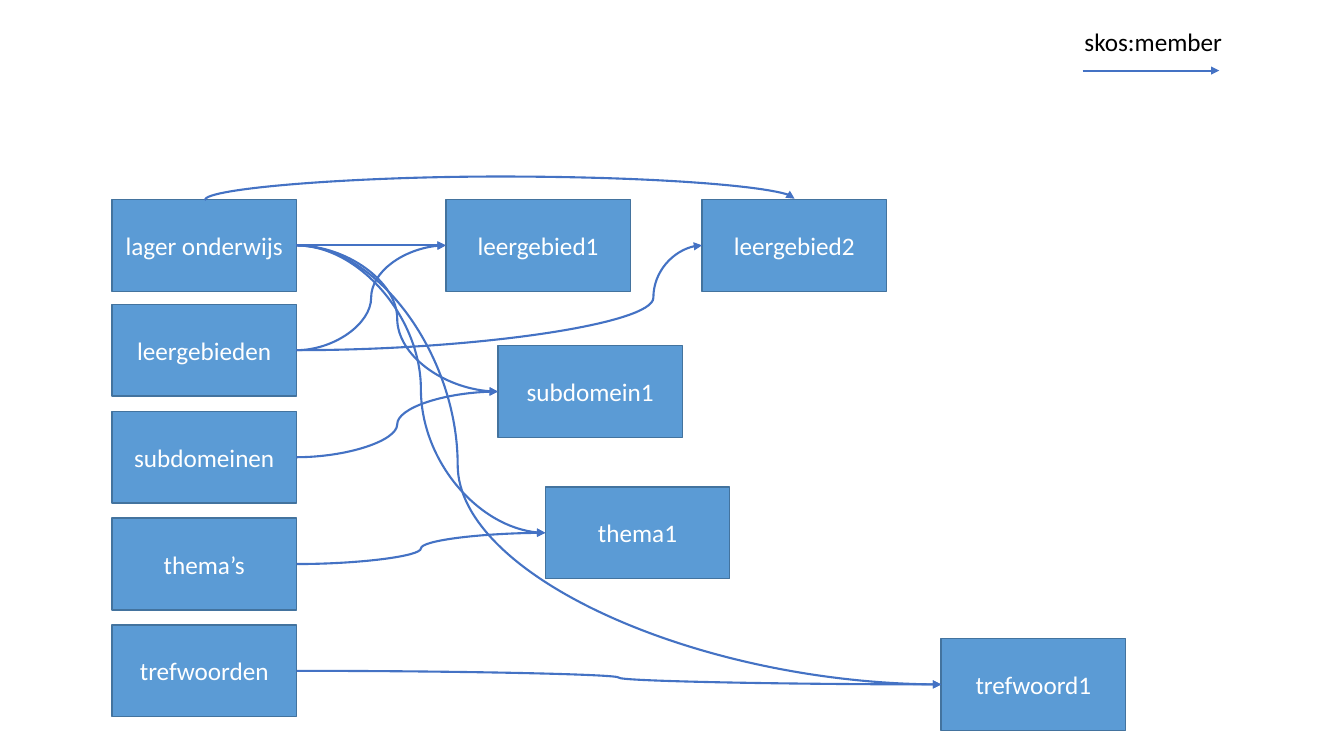
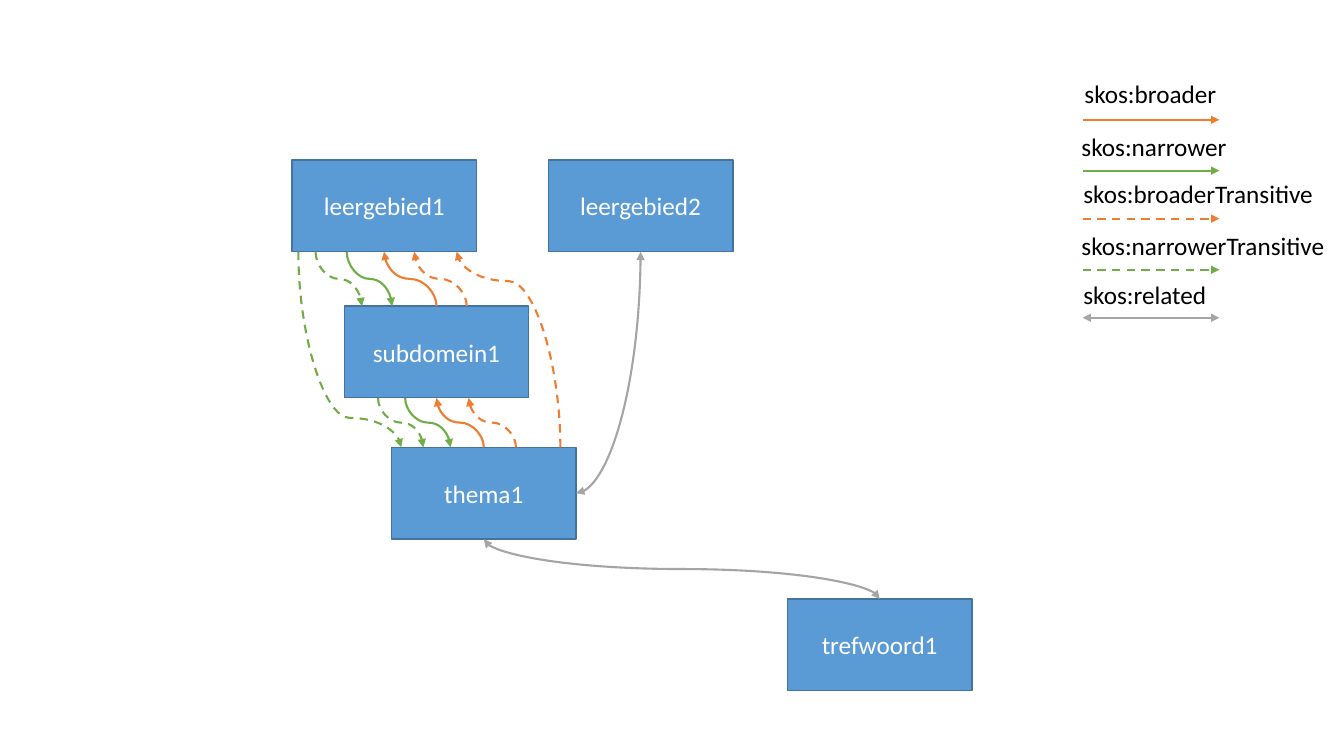
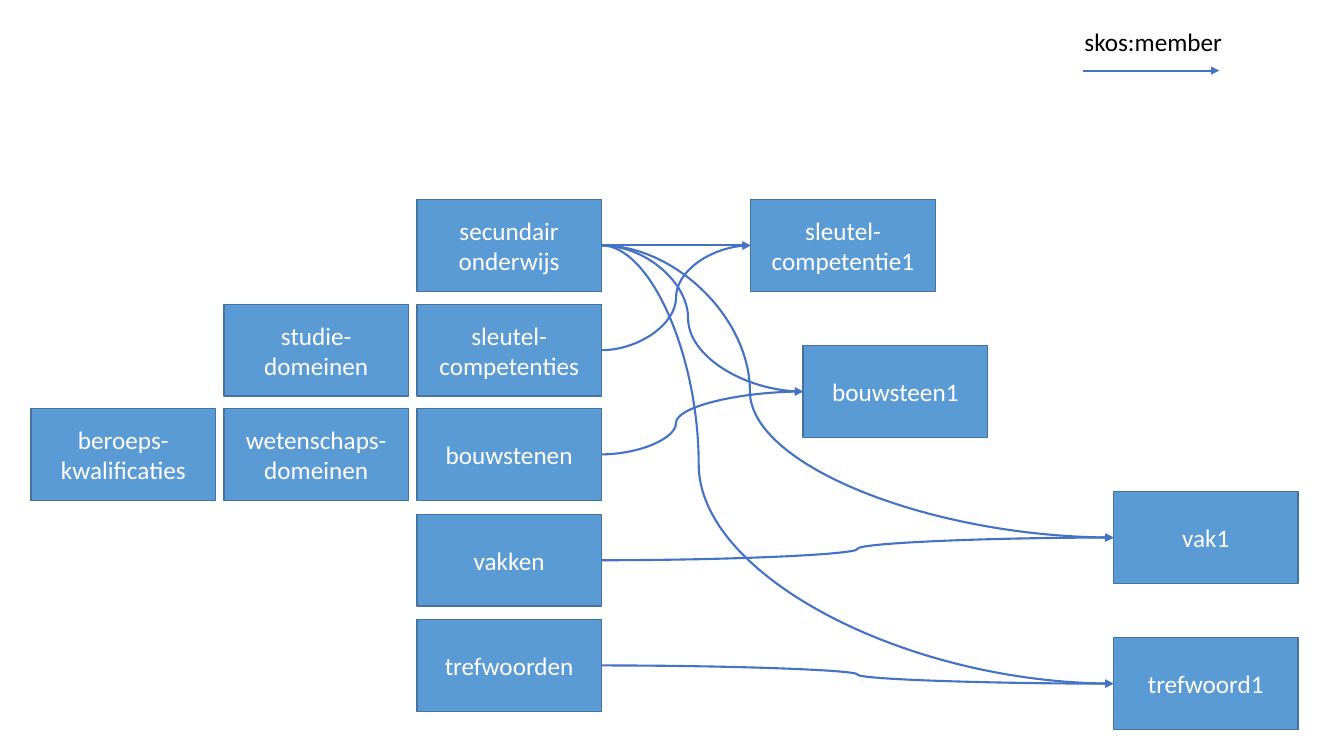
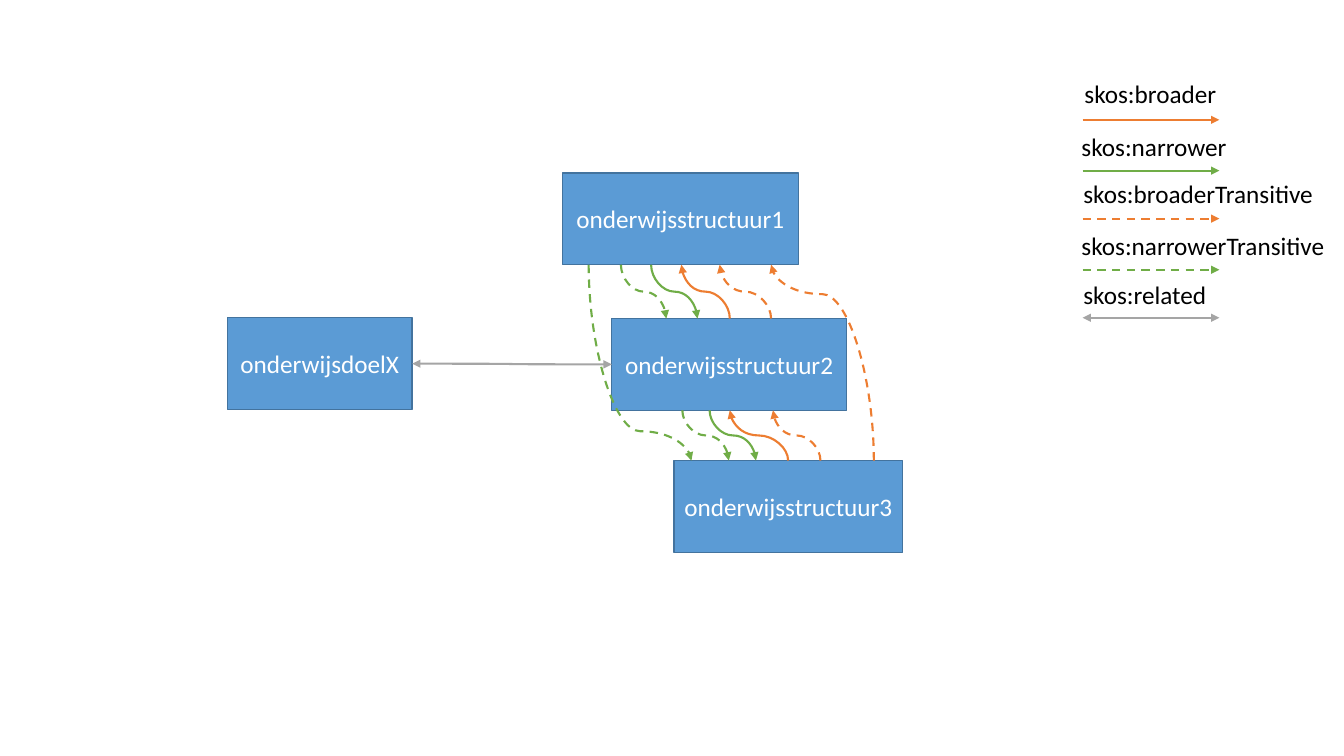
"""Build four diagrams of SKOS relations between education concepts."""
import pptx
import pptx.util
import pptx.dml.color
import pptx.enum.dml
import pptx.enum.shapes
import pptx.enum.text
import pptx.oxml.ns
import lxml.etree

Pt = pptx.util.Pt
qn = pptx.oxml.ns.qn
rgb = pptx.dml.color.RGBColor.from_string
DASH = pptx.enum.dml.MSO_LINE.DASH
SOLID = pptx.enum.dml.MSO_LINE.SOLID
ANCHOR = pptx.enum.text.MSO_ANCHOR
ALIGN = pptx.enum.text.PP_ALIGN
FIT = pptx.enum.text.MSO_AUTO_SIZE
CONNECTOR = pptx.enum.shapes.MSO_CONNECTOR

THEME = {
    "box_fill": rgb("5B9BD5"),
    "box_line": rgb("43739E"),
    "box_line_width": Pt(1),
    "box_width": 131.8,
    "box_height": 65.6,
    "link_width": Pt(1.5),
    "font": {"name": "Calibri", "size": Pt(18)},
    "concept": {
        "color": rgb("FFFFFF"),
        "align": ALIGN.CENTER,
        "frame": {"word_wrap": True, "vertical_anchor": ANCHOR.MIDDLE},
    },
    "legend": {
        "color": rgb("000000"),
        "align": ALIGN.LEFT,
        "frame": {"word_wrap": False, "auto_size": FIT.SHAPE_TO_FIT_TEXT},
    },
    "relations": {
        "member": (rgb("4472C4"), SOLID, ["tailEnd"]),
        "broader": (rgb("ED7D31"), SOLID, ["tailEnd"]),
        "narrower": (rgb("70AD47"), SOLID, ["tailEnd"]),
        "broaderTransitive": (rgb("ED7D31"), DASH, ["tailEnd"]),
        "narrowerTransitive": (rgb("70AD47"), DASH, ["tailEnd"]),
        "related": (rgb("A5A5A5"), SOLID, ["headEnd", "tailEnd"]),
    },
}


def add_box(page, text, left, top, width=THEME["box_width"],
            height=THEME["box_height"], kind="concept"):
    area = [Pt(length) for length in (left, top, width, height)]
    if kind == "concept":
        box = page.shapes.add_shape(pptx.enum.shapes.MSO_SHAPE.RECTANGLE, *area)
        box.shadow.inherit = False
        box.fill.solid()
        box.fill.fore_color.rgb = THEME["box_fill"]
        box.line.color.rgb = THEME["box_line"]
        box.line.width = THEME["box_line_width"]
    else:
        box = page.shapes.add_textbox(*area)
    style = THEME[kind]
    for name, value in style["frame"].items():
        setattr(box.text_frame, name, value)
    para = box.text_frame.paragraphs[0]
    para.alignment = style["align"]
    span = para.add_run()
    span.text = text
    for name, value in THEME["font"].items():
        setattr(span.font, name, value)
    span.font.color.rgb = style["color"]
    return box


def add_link(page, relation, start, end, bend=None, upright=False):
    color, dash, arrowheads = THEME["relations"][relation]
    kind = CONNECTOR.STRAIGHT if bend is None else CONNECTOR.CURVE
    link = page.shapes.add_connector(kind, *start, *end)
    link.line.color.rgb = color
    link.line.width = THEME["link_width"]
    link.line.dash_style = dash
    properties = link._element.spPr
    for arrowhead in arrowheads:
        lxml.etree.SubElement(properties.find(qn("a:ln")), qn("a:" + arrowhead), type="triangle")
    lxml.etree.SubElement(properties, qn("a:effectLst"))
    if bend is not None:
        guides = properties.find(qn("a:prstGeom")).find(qn("a:avLst"))
        lxml.etree.SubElement(guides, qn("a:gd"), name="adj1", fmla=f"val {round(bend * 100000)}")
    if upright:
        across, down = end[0] - start[0], end[1] - start[1]
        link.width, link.height = abs(down), abs(across)
        link.left = (start[0] + end[0] - abs(down)) // 2
        link.top = (start[1] + end[1] - abs(across)) // 2
        frame = properties.find(qn("a:xfrm"))
        for name, value in {"rot": 5400000, "flipH": int(down < 0), "flipV": int(across > 0)}.items():
            frame.set(name, str(value))
    return link


deck = pptx.Presentation()
deck.slide_width, deck.slide_height = Pt(960), Pt(540)
pages = [deck.slides.add_slide(deck.slide_layouts[6]) for _ in range(4)]
primary_members, primary_tree, secondary_members, structure_tree = pages

primary_concepts = {
    "leergebied1": (318.5, 142.5),
    "leergebied2": (501.5, 142.5),
    "subdomein1": (355.7, 246.9),
    "thema1": (389.5, 347.8),
    "trefwoord1": (672.3, 456.1),
}
member_diagrams = [
    (
        primary_members,
        {
            "lager onderwijs": (80, 142.5),
            "leergebieden": (80, 217.4),
            "subdomeinen": (80, 293.8),
            "thema’s": (80, 370.1),
            "trefwoorden": (80, 446.4),
            **primary_concepts,
        },
        [
            ("lager onderwijs", "leergebied1", 0.5),
            ("lager onderwijs", "subdomein1", 0.5),
            ("lager onderwijs", "thema1", 0.5),
            ("lager onderwijs", "trefwoord1", 0.25),
            ("leergebieden", "leergebied1", 0.5),
            ("leergebieden", "leergebied2", 0.88),
            ("subdomeinen", "subdomein1", 0.5),
            ("thema’s", "thema1", 0.5),
            ("trefwoorden", "trefwoord1", 0.5),
        ],
    ),
    (
        secondary_members,
        {
            "beroeps-kwalificaties": (22.2, 291.8),
            "wetenschaps-domeinen": (160, 291.8),
            "studie-domeinen": (160, 217.4),
            "secundair onderwijs": (297.8, 142.5),
            "sleutel-competenties": (297.8, 217.4),
            "bouwstenen": (297.8, 291.8),
            "vakken": (297.8, 367.4),
            "trefwoorden": (297.8, 442.5),
            "sleutel-competentie1": (536.3, 142.5),
            "bouwsteen1": (573.7, 246.9),
            "vak1": (795.4, 351.2),
            "trefwoord1": (795.4, 455.5),
        },
        [
            ("secundair onderwijs", "sleutel-competentie1", 0.5),
            ("secundair onderwijs", "bouwsteen1", 0.43),
            ("secundair onderwijs", "vak1", 0.29),
            ("secundair onderwijs", "trefwoord1", 0.19),
            ("sleutel-competenties", "sleutel-competentie1", 0.5),
            ("bouwstenen", "bouwsteen1", 0.37),
            ("vakken", "vak1", 0.5),
            ("trefwoorden", "trefwoord1", 0.5),
        ],
    ),
]
for page, places, members in member_diagrams:
    boxes = {text: add_box(page, text, *place) for text, place in places.items()}
    for group, member, bend in members:
        source, target = boxes[group], boxes[member]
        start = source.left + source.width, source.top + source.height // 2
        end = target.left, target.top + target.height // 2
        link = add_link(page, "member", start, end, bend)
        link.begin_connect(source, 3)
        link.end_connect(target, 1)

add_link(primary_members, "member", (Pt(146.2), Pt(143)), (Pt(567.6), Pt(142)), 17, True)

shift_left, shift_up = 109.8, 28.3
primary = {
    text: add_box(primary_tree, text, left - shift_left, top - shift_up)
    for text, (left, top) in primary_concepts.items()
}
structures = [
    add_box(structure_tree, f"onderwijsstructuur{number}", *place)
    for number, place in enumerate(
        [(401.8, 123.5, 168.5), (437, 227.5, 167.8), (481.5, 329, 163.4)], 1)
]
goal = add_box(structure_tree, "onderwijsdoelX", 162.6, 227)

tree_links = [
    ("broader", 1, 0, 0.5),
    ("broader", 2, 1, 0.5),
    ("narrower", 0, 1, 0.5),
    ("narrower", 1, 2, 0.5),
    ("broaderTransitive", 1, 0, 0.5),
    ("broaderTransitive", 2, 1, 0.5),
    ("narrowerTransitive", 0, 1, 0.5),
    ("narrowerTransitive", 1, 2, 0.5),
    ("narrowerTransitive", 0, 2, 0.85),
    ("broaderTransitive", 2, 0, 0.85),
]
trees = [
    (
        primary_tree,
        [primary[text] for text in ("leergebied1", "subdomein1", "thema1")],
        [(311.8, 274.3), (345.6, 311.8), (247.7, 280.1), (289.4, 321.8), (333.4, 295.9),
         (368.6, 334.8), (225.4, 258.5), (270, 302.4), (213.1, 286.6), (400.3, 326.2)],
    ),
    (
        structure_tree,
        structures,
        [(521.3, 486.7), (563, 521.3), (465.1, 498.2), (506.9, 540), (550.8, 514.1),
         (586.1, 552.2), (443.5, 475.9), (487.4, 520.6), (420.5, 493.9), (624.2, 550.8)],
    ),
]
for page, levels, ends in trees:
    for (relation, source, target, bend), (start_x, end_x) in zip(tree_links, ends):
        upper, lower = levels[min(source, target)], levels[max(source, target)]
        edges = [upper.top + upper.height, lower.top]
        if source > target:
            edges.reverse()
        add_link(page, relation, (Pt(start_x), edges[0]), (Pt(end_x), edges[1]), bend, True)

theme_box, keyword, area = (primary[text] for text in ("thema1", "trefwoord1", "leergebied2"))
add_link(primary_tree, "related",
         (keyword.left + keyword.width // 2, keyword.top),
         (theme_box.left + theme_box.width // 2, theme_box.top + theme_box.height), 0.5, True)
corner = add_link(primary_tree, "related",
                  (theme_box.left + theme_box.width, theme_box.top + theme_box.height // 2),
                  (area.left + area.width // 2, area.top + area.height), 0.5)
corner_shape = corner._element.spPr.find(qn("a:prstGeom"))
corner_shape.set("prst", "curvedConnector2")
corner_shape.find(qn("a:avLst")).clear()
goal_link = add_link(structure_tree, "related",
                     (goal.left + goal.width, goal.top + goal.height // 2),
                     (structures[1].left, structures[1].top + structures[1].height // 2), 0.5)
goal_link.begin_connect(goal, 3)
goal_link.end_connect(structures[1], 1)

member_legend = [("member", 767.5, 15.2, 113.8, 50.4)]
tree_legend = [
    ("broader", 767.5, 52.6, 109.4, 85.6),
    ("narrower", 765.4, 90.2, 119.5, 121.9),
    ("broaderTransitive", 766.8, 123.9, 180, 156.2),
    ("narrowerTransitive", 765.4, 160.7, 189.4, 192.7),
    ("related", 766.8, 196, 103, 227),
]
for page, legend in zip(pages, [member_legend, tree_legend] * 2):
    for relation, left, top, width, arrow_y in legend:
        add_box(page, f"skos:{relation}", left, top, width, 29, "legend")
        add_link(page, relation, (Pt(773.3), Pt(arrow_y)), (Pt(871), Pt(arrow_y)))

deck.save("out.pptx")
